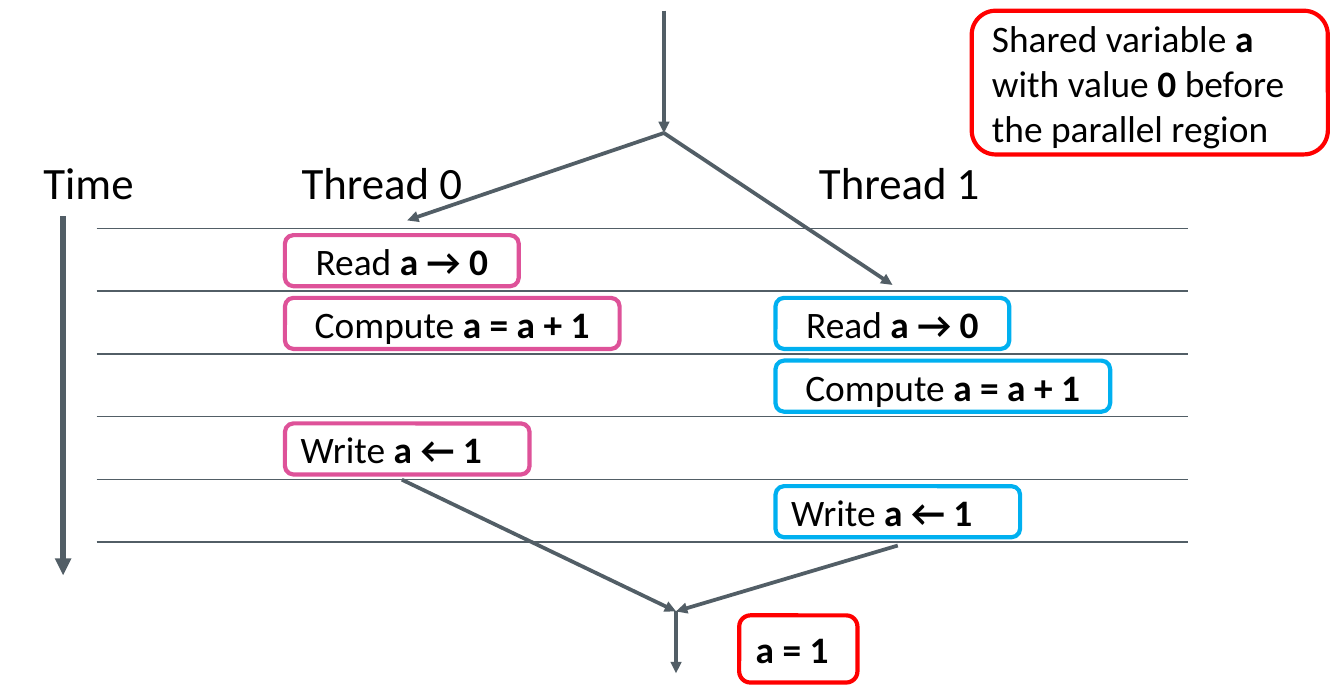
"""Build a slide that shows a data race between two threads."""
from typing import NamedTuple, Optional

from lxml import etree
from pptx import Presentation
from pptx import util as u
from pptx.dml.color import RGBColor
from pptx.enum import shapes, text
from pptx.oxml import ns

BLACK = RGBColor(0x00, 0x00, 0x00)
SLATE = RGBColor(0x52, 0x5E, 0x66)
PINK = RGBColor(0xDE, 0x52, 0x99)
BLUE = RGBColor(0x00, 0xB0, 0xF0)
RED = RGBColor(0xFF, 0x00, 0x00)

WIDE, HIGH = 10, 5.12
TOP, ROW, ROWS = 1.7, 0.467, 5
LEFT, RIGHT = 0.72, 8.84
GAP, TALL = 0.05, 0.38
LANES = (2.12, 5.77)
FORK, JOIN = (4.94, 0.99), (5.03, 4.55)
MID, START = text.PP_ALIGN.CENTER, text.PP_ALIGN.LEFT


class Box(NamedTuple):
    left: float
    top: float
    width: float
    height: float
    words: str
    color: Optional[RGBColor] = None
    size: float = 20
    align: text.PP_ALIGN = START


class Line(NamedTuple):
    start: tuple[float, float]
    end: tuple[float, float]
    weight: float = 2
    arrow: bool = True


class Step(NamedTuple):
    lane: int
    row: int
    width: float
    words: str
    color: RGBColor
    align: text.PP_ALIGN = MID


STEPS = [
    step
    for lane, color, rows in ((0, PINK, (0, 1, 3)), (1, BLUE, (1, 2, 4)))
    for step in (
        Step(lane, rows[0], 1.74, "Read *a → 0*", color),
        Step(lane, rows[1], 2.49, "Compute *a = a + 1*", color),
        Step(lane, rows[2], 1.82, "Write *a ← 1*", color, START),
    )
]

BOXES = [
    Box(7.23, 0.08, 2.65, 1.07,
        "Shared variable *a* with value *0* before the parallel region", RED),
    Box(5.5, 4.58, 0.88, 0.5, "*a = 1*", RED),
    Box(0.2, 1.1, 1.13, 0.51, "Time", size=24),
    Box(2.12, 1.1, 1.62, 0.51, "Thread 0", size=24),
    Box(5.97, 1.1, 1.62, 0.51, "Thread 1", size=24),
]

ARROWS = [
    Line((0.47, 1.61), (0.47, 4.28), 3),
    Line((4.94, 0.08), FORK),
    Line(FORK, (3.03, 1.64)),
    Line(FORK, (6.64, 2.12)),
    Line((2.99, 3.57), JOIN),
    Line((6.68, 4.06), JOIN),
    Line(JOIN, (5.03, 5.01)),
]


def write(shape, words: str, *, size: float, align: text.PP_ALIGN) -> None:
    """Fill a shape with text, where asterisks enclose the bold parts."""
    frame = shape.text_frame
    frame.word_wrap = True
    frame.vertical_anchor = text.MSO_ANCHOR.MIDDLE
    para = frame.paragraphs[0]
    para.alignment = align
    for index, part in enumerate(words.split("*")):
        if part:
            run = para.add_run()
            run.text = part
            run.font.name = "Calibri"
            run.font.size = u.Pt(size)
            run.font.bold = index % 2 == 1
            run.font.color.rgb = BLACK


def draw_box(slide, box: Box) -> None:
    """Draw a rounded box with its text."""
    shape = slide.shapes.add_shape(
        shapes.MSO_SHAPE.ROUNDED_RECTANGLE,
        *map(u.Inches, (box.left, box.top, box.width, box.height)))
    shape.shadow.inherit = False
    shape.fill.background()
    if box.color is None:
        shape.line.fill.background()
    else:
        shape.line.color.rgb = box.color
        shape.line.width = u.Pt(2.25)
    write(shape, box.words, size=box.size, align=box.align)


def draw_line(slide, line: Line) -> None:
    """Draw a straight line, with an arrowhead if asked."""
    link = slide.shapes.add_connector(
        shapes.MSO_CONNECTOR.STRAIGHT, *map(u.Inches, line.start + line.end))
    link.line.color.rgb = SLATE
    link.line.width = u.Pt(line.weight)
    if line.arrow:
        stroke = link.line._get_or_add_ln()
        etree.SubElement(stroke, ns.qn("a:tailEnd"), type="triangle")
    etree.SubElement(link._element.spPr, ns.qn("a:effectLst"))


def main() -> None:
    """Build and save the slide."""
    deck = Presentation()
    deck.slide_width, deck.slide_height = u.Inches(WIDE), u.Inches(HIGH)
    slide = deck.slides.add_slide(deck.slide_layouts[6])
    for row in range(ROWS + 1):
        level = TOP + row * ROW
        draw_line(slide, Line((LEFT, level), (RIGHT, level), 0.75, False))
    for step in STEPS:
        draw_box(slide, Box(LANES[step.lane], TOP + step.row * ROW + GAP,
                            step.width, TALL, step.words, step.color,
                            align=step.align))
    for line in ARROWS:
        draw_line(slide, line)
    for box in BOXES:
        draw_box(slide, box)
    deck.save("out.pptx")


main()
